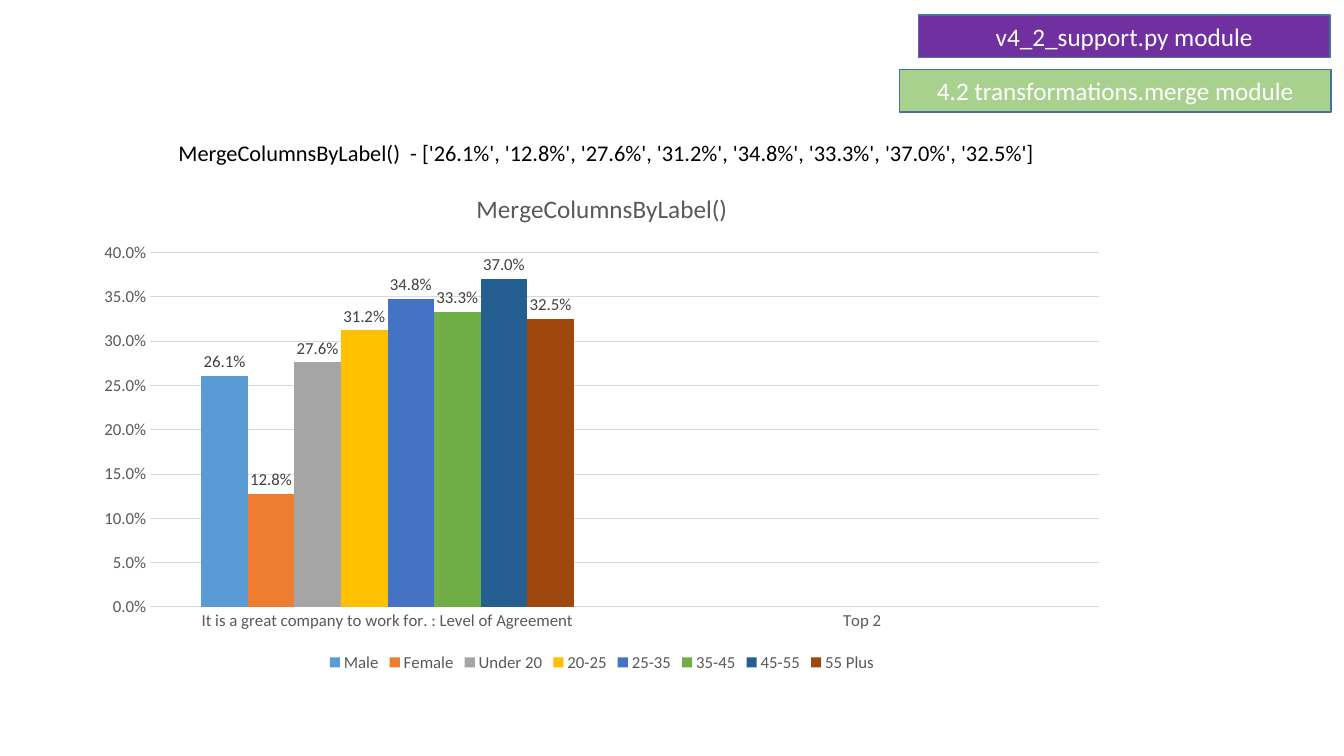
import pptx
import pptx.chart.data
import pptx.dml.color
import pptx.enum.chart
import pptx.enum.shapes
import pptx.enum.text
import pptx.util

Inches = pptx.util.Inches
Pt = pptx.util.Pt
FONT = "Calibri"
PERCENT = "0.0%"
COLORS = {
    "purple": "7030A0", "green": "A9D18E", "outline": "43739E",
    "white": "FFFFFF", "black": "000000", "axis": "595959",
    "label": "404040", "grid": "D9D9D9",
}
AGE_AND_GENDER = [
    ("Male", 0.261, "5B9BD5"),
    ("Female", 0.128, "ED7D31"),
    ("Under 20", 0.276, "A5A5A5"),
    ("20-25", 0.312, "FFC000"),
    ("25-35", 0.348, "4472C4"),
    ("35-45", 0.333, "70AD47"),
    ("45-55", 0.37, "255E91"),
    ("55 Plus", 0.325, "9E480E"),
]


def rgb(value):
    """Turn a hex string into a colour."""
    return pptx.dml.color.RGBColor.from_string(value)


def style_font(font, size, color):
    """Set the face, size and colour of a font."""
    font.name = FONT
    font.size = Pt(size)
    font.bold = False
    font.color.rgb = rgb(COLORS[color])


def write_text(frame, text, size=18, color="white", align="CENTER", anchor="MIDDLE", spacing=1.0):
    """Write one formatted paragraph into a text frame."""
    frame.word_wrap = True
    frame.auto_size = pptx.enum.text.MSO_AUTO_SIZE.NONE
    frame.vertical_anchor = pptx.enum.text.MSO_ANCHOR[anchor]
    para = frame.paragraphs[0]
    para.alignment = pptx.enum.text.PP_ALIGN[align]
    para.line_spacing = spacing
    span = para.add_run()
    span.text = text
    style_font(span.font, size, color)


def add_module_tag(page, box, text, fill):
    """Draw an outlined tag that names a module."""
    tag = page.shapes.add_shape(pptx.enum.shapes.MSO_SHAPE.RECTANGLE, *map(Inches, box))
    tag.shadow.inherit = False
    tag.fill.solid()
    tag.fill.fore_color.rgb = rgb(COLORS[fill])
    tag.line.color.rgb = rgb(COLORS["outline"])
    tag.line.width = Pt(1)
    write_text(tag.text_frame, text)


def place_title(page, box, text):
    """Move the title placeholder into its box and fill it."""
    title = page.shapes.title
    title.left, title.top, title.width, title.height = map(Inches, box)
    write_text(title.text_frame, text, size=16, color="black", align="LEFT", anchor="BOTTOM", spacing=0.9)


def style_axes(chart):
    """Format the category and value axes."""
    for axis in (chart.category_axis, chart.value_axis):
        axis.major_tick_mark = pptx.enum.chart.XL_TICK_MARK.NONE
        axis.minor_tick_mark = pptx.enum.chart.XL_TICK_MARK.NONE
        style_font(axis.tick_labels.font, 12, "axis")
    values = chart.value_axis
    values.minimum_scale, values.maximum_scale, values.major_unit = 0, 0.4, 0.05
    values.tick_labels.number_format = PERCENT
    values.tick_labels.number_format_is_linked = False
    values.format.line.fill.background()
    for line in (chart.category_axis.format.line, values.major_gridlines.format.line):
        line.color.rgb = rgb(COLORS["grid"])
        line.width = Pt(0.75)


def style_series(plot):
    """Colour each series and label its columns."""
    plot.gap_width = 219
    plot.overlap = 0
    plot.vary_by_categories = False
    for series, (_, _, color) in zip(plot.series, AGE_AND_GENDER):
        series.format.fill.solid()
        series.format.fill.fore_color.rgb = rgb(color)
        labels = series.data_labels
        labels.show_value = True
        labels.position = pptx.enum.chart.XL_LABEL_POSITION.OUTSIDE_END
        labels.number_format = PERCENT
        labels.number_format_is_linked = False
        style_font(labels.font, 12, "label")


def add_agreement_chart(page, box):
    """Add the clustered column chart of agreement by group."""
    data = pptx.chart.data.CategoryChartData(number_format=PERCENT)
    data.categories = ["It is a great company to work for. : Level of Agreement", "Top 2"]
    for name, value, _ in AGE_AND_GENDER:
        data.add_series(name, [value, None])
    kind = pptx.enum.chart.XL_CHART_TYPE.COLUMN_CLUSTERED
    chart = page.shapes.add_chart(kind, *map(Inches, box), data).chart
    style_font(chart.font, 10, "black")
    chart.has_title = True
    chart.chart_title.include_in_layout = False
    span = chart.chart_title.text_frame.paragraphs[0].add_run()
    span.text = "MergeColumnsByLabel()"
    style_font(span.font, 18, "axis")
    chart.has_legend = True
    chart.legend.position = pptx.enum.chart.XL_LEGEND_POSITION.BOTTOM
    chart.legend.include_in_layout = False
    style_font(chart.legend.font, 12, "axis")
    style_axes(chart)
    style_series(chart.plots[0])


def main():
    """Build and save the slide."""
    deck = pptx.Presentation()
    deck.slide_width, deck.slide_height = Inches(13.33), Inches(7.5)
    page = deck.slides.add_slide(deck.slide_layouts[5])
    shares = [f"{value:.1%}" for _, value, _ in AGE_AND_GENDER]
    add_module_tag(page, (9.11, 0.15, 4.08, 0.42), "v4_2_support.py module", "purple")
    place_title(page, (1.67, 0.94, 10, 0.76), f"MergeColumnsByLabel()  - {shares}")
    add_agreement_chart(page, (0.83, 1.7, 10.28, 5.01))
    add_module_tag(page, (8.92, 0.69, 4.28, 0.42), "4.2 transformations.merge module", "green")
    deck.save("out.pptx")


if __name__ == "__main__":
    main()
